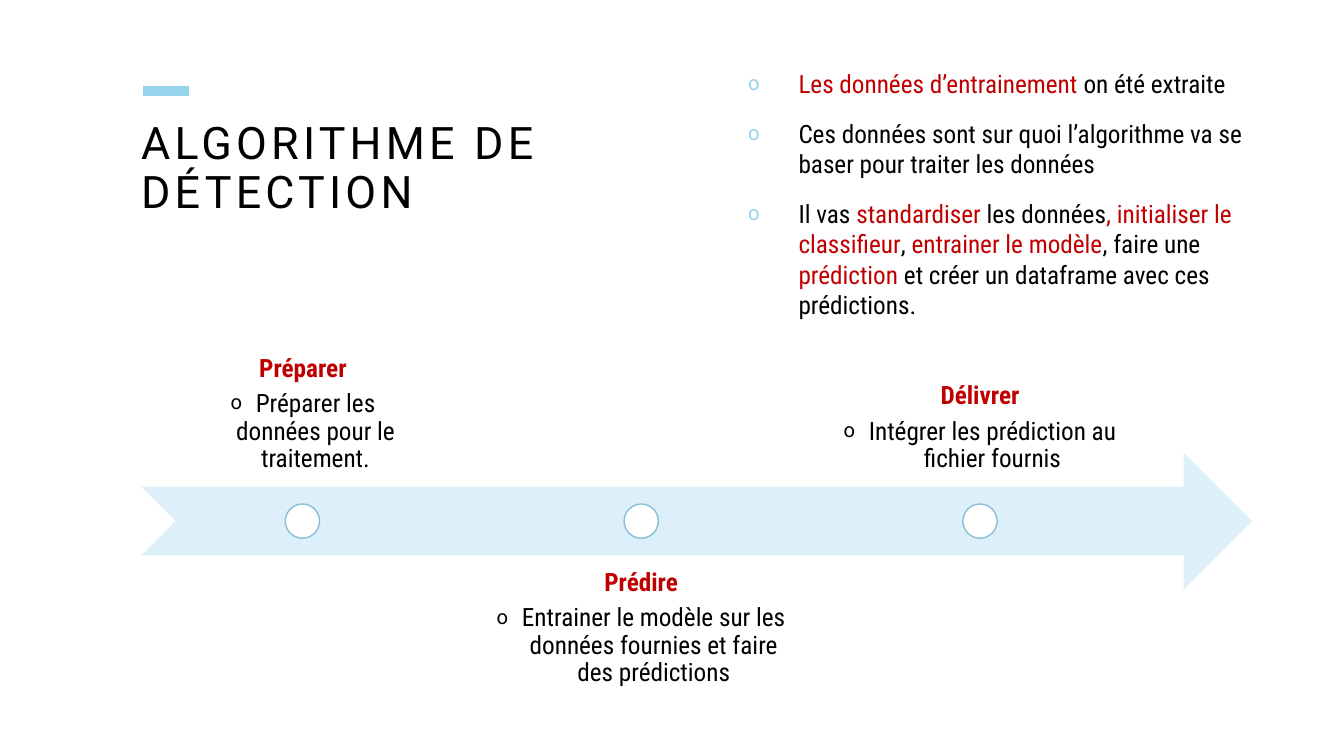
from lxml.etree import SubElement
from pptx import Presentation
from pptx.dml.color import RGBColor
from pptx.enum.shapes import MSO_CONNECTOR, MSO_SHAPE
from pptx.enum.text import MSO_ANCHOR, MSO_AUTO_SIZE, PP_ALIGN
from pptx.oxml.ns import qn
from pptx.util import Pt

PX = 9144
RED, BLACK, SKY = "C00000", "000000", "96D3ED"


def color(code):
    return RGBColor.from_string(code)


def bullet(para, indent, tint):
    props = para._p.get_or_add_pPr()
    props.set("marL", str(indent * PX))
    props.set("indent", str(-indent * PX))
    tone = SubElement(props, qn("a:buClr"))
    SubElement(tone, qn("a:srgbClr")).set("val", tint)
    SubElement(props, qn("a:buSzPct")).set("val", "80000")
    SubElement(props, qn("a:buFont")).set("typeface", "Roboto")
    SubElement(props, qn("a:buChar")).set("char", "o")


deck = Presentation()
deck.slide_width, deck.slide_height = 1333 * PX, 750 * PX
slide = deck.slides.add_slide(deck.slide_layouts[5])
shapes = slide.shapes

dash = shapes.add_connector(MSO_CONNECTOR.STRAIGHT, 142 * PX, 90 * PX, 187 * PX, 90 * PX)
dash.line.color.rgb = color(SKY)
dash.line.width = Pt(7)
SubElement(dash._element.spPr, qn("a:effectLst"))

title = shapes.title
title.left, title.top, title.width, title.height = 140 * PX, 120 * PX, 550 * PX, 200 * PX
frame = title.text_frame
frame.text = "ALGORITHME DE DÉTECTION"
frame.word_wrap = True
frame.auto_size = MSO_AUTO_SIZE.NONE
frame.vertical_anchor = MSO_ANCHOR.TOP
frame.margin_left = frame.margin_top = frame.margin_right = frame.margin_bottom = 0
head = frame.paragraphs[0]
head.alignment = PP_ALIGN.LEFT
head.line_spacing = 0.9
run = head.runs[0]
run.font.name, run.font.size = "Roboto", Pt(32)
run.font.color.rgb = color(BLACK)
run._r.get_or_add_rPr().set("spc", "300")

notes = [
    [("Les données d’entrainement ", RED), ("on été extraite", BLACK)],
    [("Ces données sont sur quoi l’algorithme va se baser pour traiter les données", BLACK)],
    [
        ("Il vas ", BLACK),
        ("standardiser", RED),
        (" les données", BLACK),
        (", initialiser le classifieur", RED),
        (", ", BLACK),
        ("entrainer le modèle", RED),
        (", faire une ", BLACK),
        ("prédiction", RED),
        (" et créer un dataframe avec ces prédictions.", BLACK),
    ],
]
frame = shapes.add_textbox(742 * PX, 68 * PX, 500 * PX, 261 * PX).text_frame
frame.word_wrap = True
frame.margin_left = frame.margin_top = frame.margin_right = frame.margin_bottom = 0
for i, parts in enumerate(notes):
    para = frame.add_paragraph() if i else frame.paragraphs[0]
    para.space_before = Pt(14 if i else 0)
    bullet(para, 50, SKY)
    for text, tint in parts:
        run = para.add_run()
        run.text = text
        run.font.name, run.font.size = "Roboto Condensed", Pt(18)
        run.font.color.rgb = color(tint)

arrow = shapes.add_shape(MSO_SHAPE.NOTCHED_RIGHT_ARROW, 140 * PX, 449 * PX, 1102 * PX, 136 * PX)
arrow.shadow.inherit = False
arrow.fill.solid()
arrow.fill.fore_color.rgb = color("DDEFF8")
arrow.line.fill.background()

steps = [
    ("Préparer", "Préparer les données pour le traitement.", 243, 347, MSO_ANCHOR.BOTTOM),
    ("Prédire", "Entrainer le modèle sur les données fournies et faire des prédictions",
     320, 551, MSO_ANCHOR.TOP),
    ("Délivrer", "Intégrer les prédiction au fichier fournis", 320, 347, MSO_ANCHOR.BOTTOM),
]
for i, (name, task, width, top, anchor) in enumerate(steps):
    mid = 300 + 336 * i
    box = shapes.add_textbox((mid - width // 2) * PX, top * PX, width * PX, 136 * PX)
    frame = box.text_frame
    frame.text = f"{name}\n{task}"
    frame.word_wrap = True
    frame.vertical_anchor = anchor
    frame.margin_left = frame.margin_top = frame.margin_right = frame.margin_bottom = 14 * PX
    for para, tint, gap in zip(frame.paragraphs, (RED, BLACK), (6, 3)):
        para.alignment = PP_ALIGN.CENTER
        para.line_spacing = 0.9
        para.space_after = Pt(gap)
        font = para.runs[0].font
        font.name, font.size = "Roboto Condensed", Pt(18)
        font.bold = tint == RED
        font.color.rgb = color(tint)
    para.level = 1
    bullet(para, 25, BLACK)

    dot = shapes.add_shape(MSO_SHAPE.OVAL, (mid - 17) * PX, 500 * PX, 34 * PX, 34 * PX)
    dot.shadow.inherit = False
    dot.fill.solid()
    dot.fill.fore_color.rgb = color("FFFFFF")
    dot.line.color.rgb = color("88BFD7")
    dot.line.width = Pt(1)

deck.save("out.pptx")
